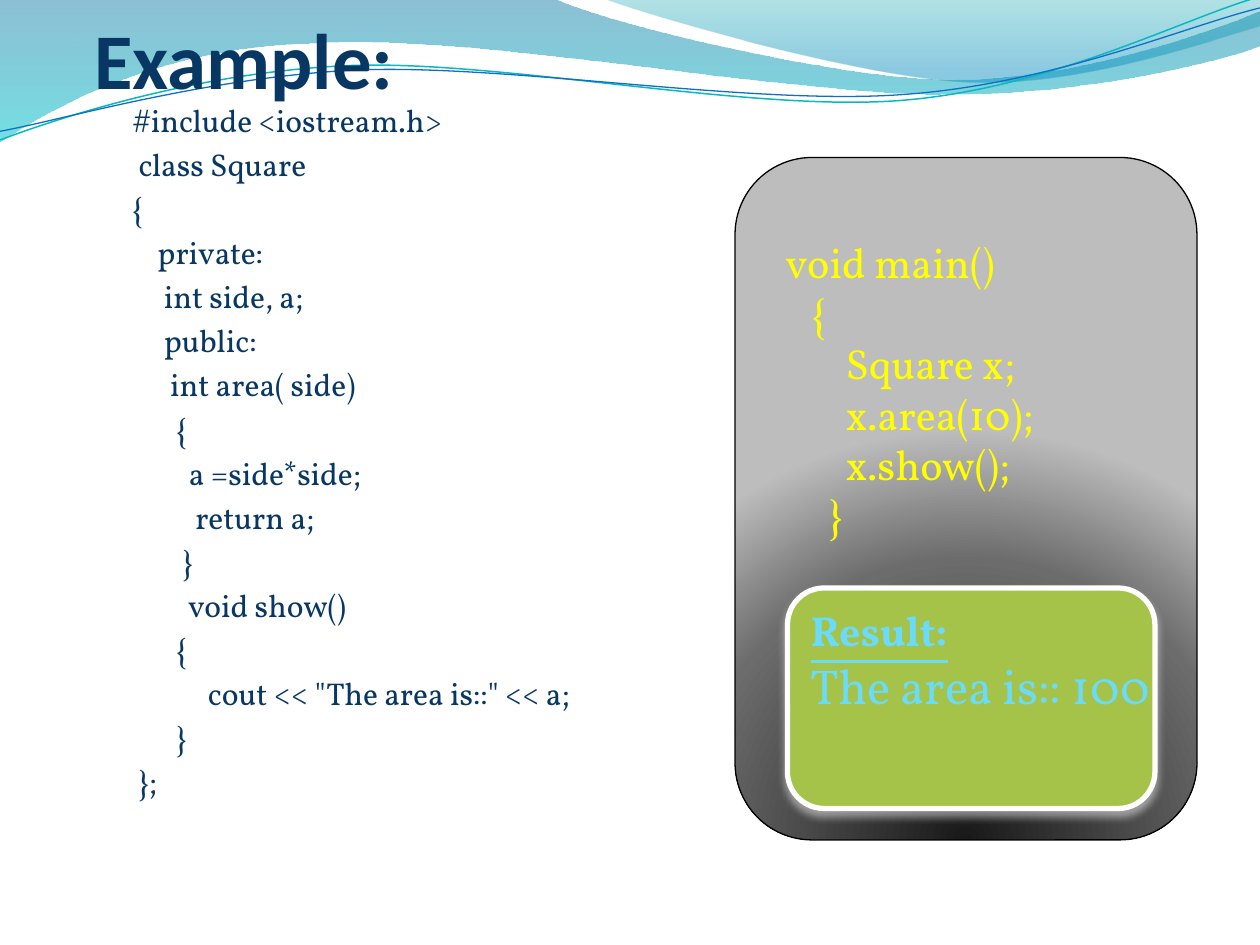
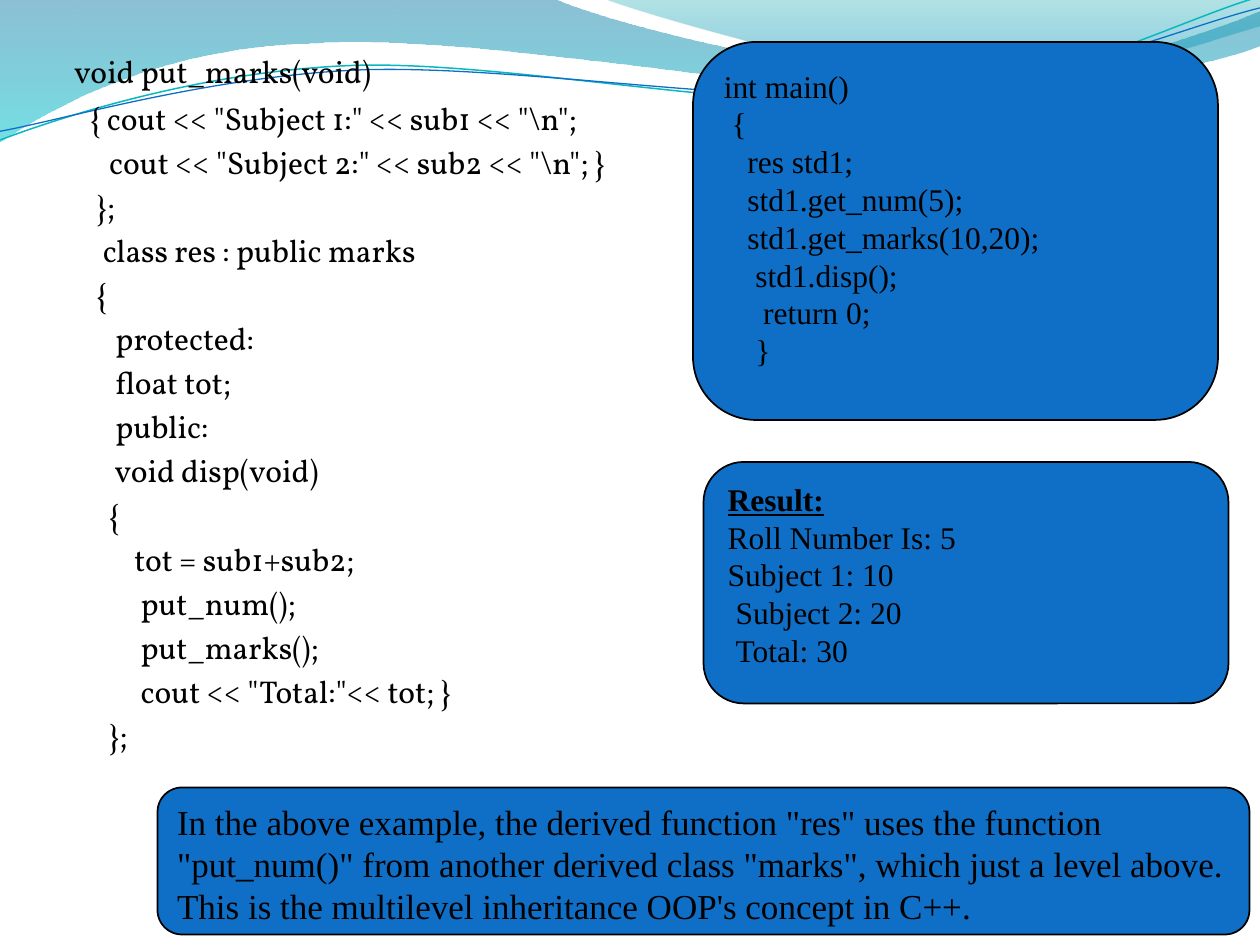
from lxml import etree
from pptx import Presentation
from pptx.dml.color import RGBColor as RGB
from pptx.enum.shapes import MSO_SHAPE as SHAPE
from pptx.enum.text import MSO_ANCHOR as ANCHOR, MSO_AUTO_SIZE as AUTO, PP_ALIGN as ALIGN
from pptx.oxml.ns import qn
from pptx.util import Pt

INK = {
    "navy": "083763", "black": "000000", "white": "FFFFFF", "yellow": "FFFF00",
    "sky": "6BDBFA", "blue": "0F6FC6", "teal": "0AB8BF", "green": "A5C249",
    "coal": "191919", "slate": "6C6C6C", "silver": "BDBDBD",
    "deep": "0074A1", "aqua": "00C6CF", "sea": "00A1A9", "ocean": "008BBF",
}
SERIF, SANS, ROMAN = "Vollkorn", "Calibri", "Times New Roman"

# Points of each wave: two numbers draw a straight line, six draw a curve.
BANDS = [
    ([(0, 0), (316.8, -0.6), (342.7, 12.2, 478, 45.4, 546, 45.4),
      (614, 45.4, 690, 18.7, 720, 6.5), (720.6, 26), (708, 31.7, 626, 54.7, 537, 54),
      (447.8, 54, 275, 20.2, 185, 24.5), (93, 26, 33, 59.8, -0.6, 81.4)],
     [(0, "deep", 45), (100, "aqua", 55)]),
    ([(344.9, -0.6), (366.5, 7.9, 491, 44.6, 553.7, 47), (616.3, 49.7, 692, 23, 720, 15),
      (720, 0)],
     [(0, "sea", 30), (80, "ocean", 45)]),
]
CURVES = [
    ([(0, 80), (34.5, 67, 114, 41, 199.5, 37.5), (284.5, 34, 427, 64, 513.5, 57.5),
      (600, 51, 675, 11, 718.5, -1.5)], "teal", 0.85),
    ([(0, 75), (34, 69, 118, 44, 204, 40), (290, 36.5, 430, 60.5, 516, 54),
      (602, 48, 677, 15, 720, 4.5)], "blue", 0.75),
]

SQUARE = r'''    #include <iostream.h>
     class Square
    {
        private:
         int side, a;
         public:
          int area( side)
           {
             a =side*side;
              return a;
            }
             void show()
           {
                cout << "The area is::" << a;
           }
     };'''.split("\n")

CALLS = '''  void main()
     {
         Square x;
         x.area(10);
         x.show();
       }'''.split("\n")

MARKS = [[(" ", {"size": 26}), ("void put_marks(void)", {})]] + r'''
    { cout << "Subject 1:" << sub1 << "\n";
       cout << "Subject 2:" << sub2 << "\n"; }
     };
      class res : public marks
     {
        protected:
        float tot;
        public:
        void disp(void)
       {
           tot = sub1+sub2;
            put_num();
            put_marks();
            cout << "Total:"<< tot; }
       };'''.split("\n")[1:]

MAIN = '''int main()
 {
   res std1;
   std1.get_num(5);
   std1.get_marks(10,20);
    std1.disp();
     return 0;
    }'''.split("\n")

HEAD = ("Result:\n", {"bold": True, "line": True})
AREA = [[HEAD, ("The area is:: 100", {"size": 28})]]
SCORES = [[HEAD, ("Roll Number Is: 5", {})], "Subject 1: 10",
          [("Subject 2: 20", {"left": 4.5})], [("Total: 30", {"left": 4.5})]]
NOTE = [
    'In the above example, the derived function "res" uses the function',
    '"put_num()" from another derived class "marks", which just a level above.',
    "This is the multilevel inheritance OOP's concept in C++.",
]


def color(name):
    return RGB.from_string(INK[name])


def node(root, tag, **attrs):
    return etree.SubElement(root, qn("a:" + tag), {k: str(v) for k, v in attrs.items()})


def tint(root, name, alpha):
    node(node(root, "srgbClr", val=INK[name]), "alpha", val=alpha * 1000)


def blend(shape, stops, focus=None):
    """Gradient fill from (place, colour, opacity) stops: downward, or round a focus."""
    shape.fill.solid()
    props = shape._element.spPr
    old = props.find(qn("a:solidFill"))
    grad = etree.Element(qn("a:gradFill"), rotWithShape="1")
    group = node(grad, "gsLst")
    for place, name, alpha in stops:
        tint(node(group, "gs", pos=place * 1000), name, alpha)
    if focus:
        sides = {side: at * 1000 for side, at in zip("ltrb", focus)}
        node(node(grad, "path", path="circle"), "fillToRect", **sides)
    else:
        node(grad, "lin", ang=5400000, scaled=0)
    props.replace(old, grad)


def shade(shape, name):
    glow = node(shape._element.spPr.find(qn("a:effectLst")), "outerShdw", blurRad=Pt(4.5),
                dist=Pt(3), dir=5400000, rotWithShape=0)
    tint(glow, name, 48)


def write(frame, lines, **base):
    """Fill a frame; a line is text, or a list of runs with changes to the format."""
    frame.auto_size = AUTO.NONE
    for i, line in enumerate(lines):
        runs = [(line, {})] if isinstance(line, str) else line
        fmt = {**base, **runs[0][1]}
        para = frame.paragraphs[0] if i == 0 else frame.add_paragraph()
        para.alignment = ALIGN.LEFT
        props = para._p.get_or_add_pPr()
        props.set("marL", str(Pt(fmt.get("left", 0))))
        props.set("indent", str(Pt(fmt.get("hang", 0))))
        node(props, "buNone")
        para.space_before = Pt(fmt.get("before", 0) if i else 0)
        for text, extra in runs:
            fmt = {**base, **extra}
            run = para.add_run()
            run.text = text.rstrip("\n")
            font = run.font
            font.name, font.size = fmt["font"], Pt(fmt["size"])
            font.bold, font.underline = fmt.get("bold", False), fmt.get("line", False)
            font.color.rgb = color(fmt["ink"])
            if text.endswith("\n"):
                para.add_line_break()


def place(shape, box):
    shape.left, shape.top, shape.width, shape.height = map(Pt, box)


def bend(shape, points):
    """Join the straight steps of each six-number point into one curve."""
    steps = list(shape._element.iter(qn("a:lnTo")))
    for point in points[1:]:
        part, steps = steps[:len(point) // 2], steps[len(point) // 2:]
        if len(part) == 3:
            curve = etree.Element(qn("a:cubicBezTo"))
            part[0].addprevious(curve)
            for step in part:
                curve.append(step[0])
                step.getparent().remove(step)


def wave(deck, slide, box):
    """Draw the waves at the top of the box and move them to the master."""
    def draw(points, close):
        spots = [(Pt(box[0] + p[i]), Pt(box[1] + p[i + 1]))
                 for p in points for i in range(0, len(p), 2)]
        form = slide.shapes.build_freeform(*spots[0])
        form.add_line_segments(spots[1:], close=close)
        shape = form.convert_to_shape()
        bend(shape, points)
        shape.shadow.inherit = False
        return shape

    shapes = []
    for points, stops in BANDS:
        shape = draw(points, True)
        blend(shape, stops)
        shape.line.fill.background()
        shapes.append(shape)
    for points, name, width in CURVES:
        shape = draw(points, False)
        shape.fill.background()
        shape.line.color.rgb, shape.line.width = color(name), Pt(width)
        shapes.append(shape)
    tree = deck.slide_master.shapes._spTree
    for i, shape in enumerate(shapes):
        shape._element.nvSpPr.cNvPr.set("id", str(20 + i))
        tree.insert(2 + i, shape._element)


def title(slide, box, text):
    shape = slide.shapes.title
    place(shape, box)
    frame = shape.text_frame
    frame.margin_left = frame.margin_right = frame.margin_bottom = 0
    frame.margin_top = Pt(3.6)
    frame.vertical_anchor = ANCHOR.BOTTOM
    write(frame, [text], font=SANS, size=45, ink="navy", bold=True)


def code(slide, box, lines, ink):
    shape = slide.placeholders[1]
    place(shape, box)
    write(shape.text_frame, lines, font=SERIF, size=18, ink=ink,
          left=21.6, hang=-21.6, before=3.6)


def panel(slide, box, lines, fill="blue", edge="black", width=1, top=3.6, **fmt):
    shape = slide.shapes.add_shape(SHAPE.ROUNDED_RECTANGLE, *map(Pt, box))
    shape.shadow.inherit = False
    shape.fill.solid()
    shape.fill.fore_color.rgb = color(fill)
    shape.line.color.rgb, shape.line.width = color(edge), Pt(width)
    frame = shape.text_frame
    frame.word_wrap = False
    frame.vertical_anchor = ANCHOR.TOP
    frame.margin_top = Pt(top)
    write(frame, lines, **{"font": ROMAN, "size": 18, "ink": "black", **fmt})
    return shape


def card(slide, box):
    """Grey card with the calling code and its result inside."""
    x, y, w, h = box
    back = panel(slide, box, CALLS, width=0.75, top=32.5, font=SERIF, size=24, ink="yellow")
    blend(back, [(0, "coal", 100), (68, "slate", 100), (100, "silver", 100)],
          focus=(50, 130, 50, -30))
    front = panel(slide, (x + 30, y + h - 144, w - 54, 126), AREA, fill="green",
                  edge="white", width=3, font=SERIF, size=24, ink="sky")
    shade(front, "white")


def square(slide):
    title(slide, (54, 0, 612, 60), "Example:")
    code(slide, (54, 54, 612, 468), SQUARE, "navy")
    card(slide, (420, 90, 264, 390))


def marks(slide):
    head = slide.shapes.title._element
    head.getparent().remove(head)
    code(slide, (30, 18, 330, 504), MARKS, "black")
    panel(slide, (396, 24, 300, 216), MAIN)
    panel(slide, (402, 264, 300, 138), SCORES)
    panel(slide, (90, 450, 624, 84), NOTE, size=20)


def main():
    deck = Presentation()
    deck.slide_width, deck.slide_height = Pt(720), Pt(540)
    first, second = [deck.slides.add_slide(deck.slide_layouts[1]) for _ in range(2)]
    wave(deck, first, (0, 0, 720, 82))
    square(first)
    marks(second)
    deck.save("out.pptx")


if __name__ == "__main__":
    main()
